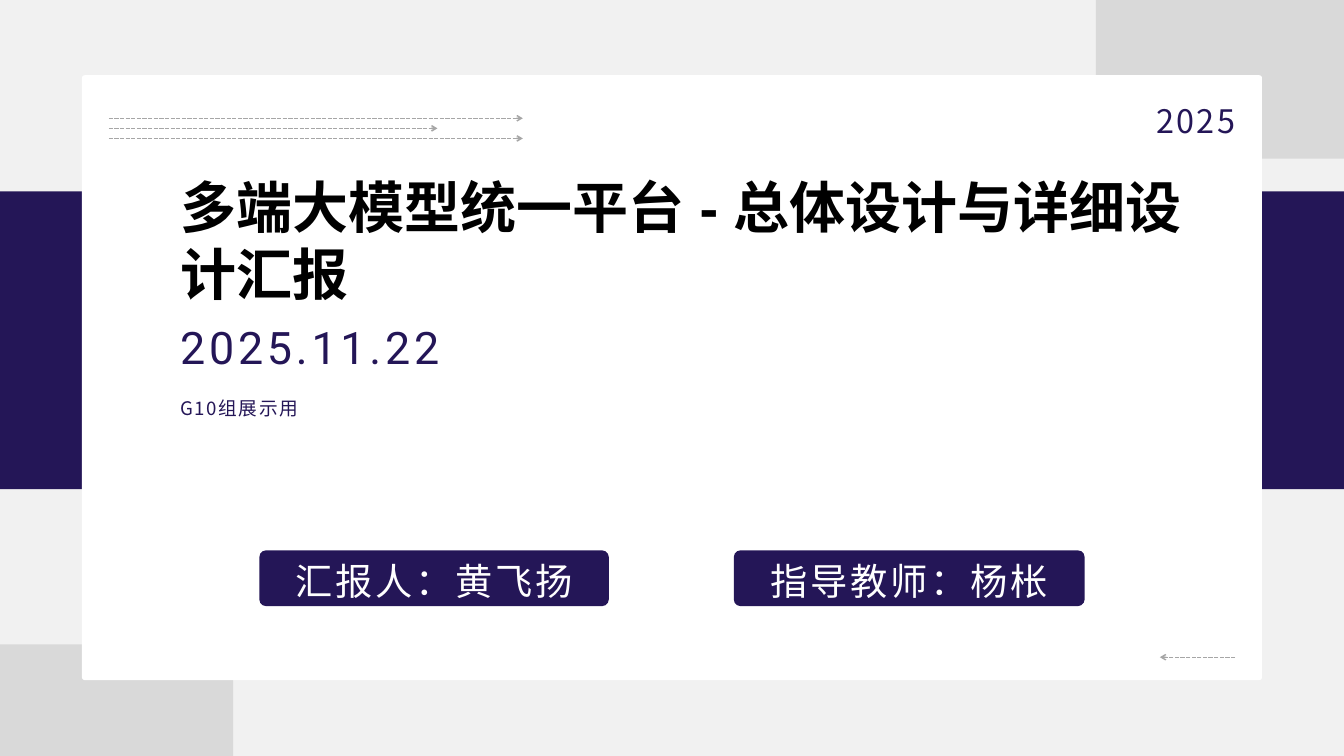
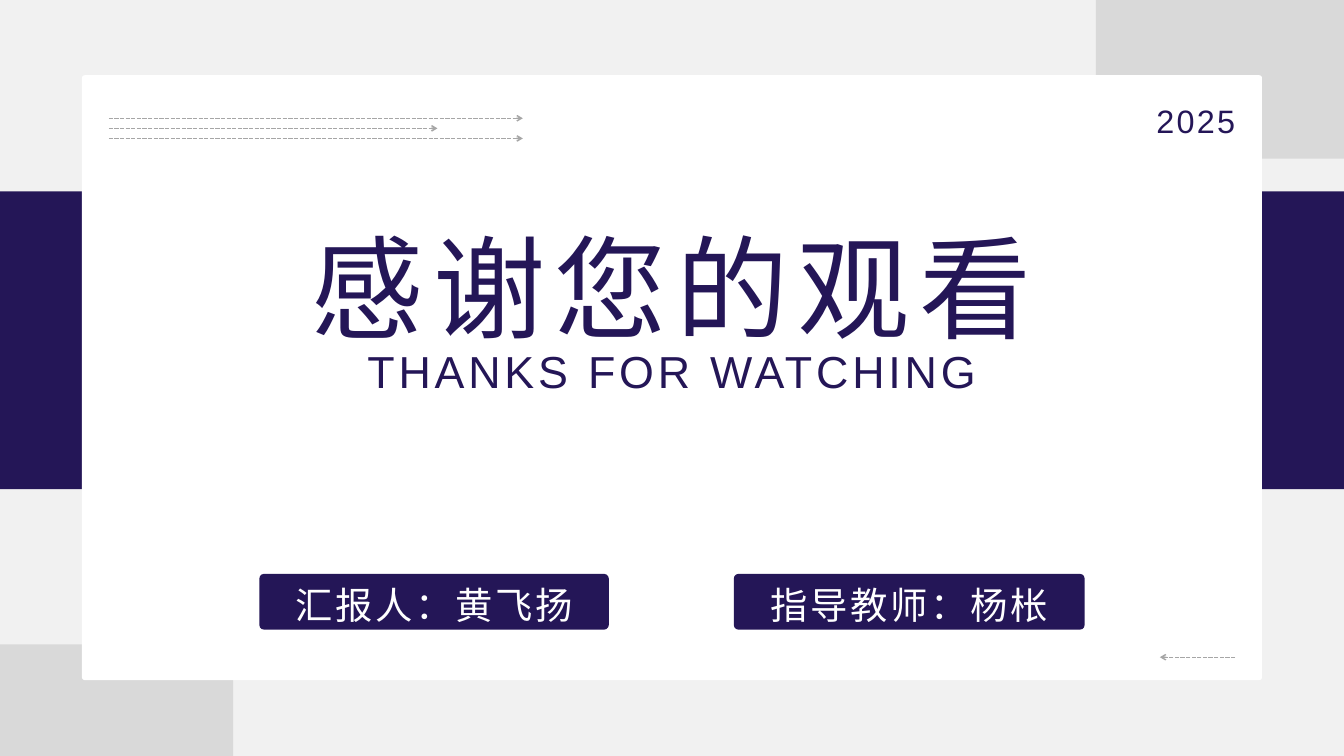
from lxml.etree import SubElement
from pptx import Presentation
from pptx.dml.color import RGBColor
from pptx.enum.dml import MSO_LINE
from pptx.enum.shapes import MSO_CONNECTOR, MSO_SHAPE
from pptx.enum.text import MSO_ANCHOR, MSO_AUTO_SIZE, PP_ALIGN
from pptx.oxml.ns import qn
from pptx.util import Emu, Pt

SCALE = 9144  # EMU per px, 100 px to the inch
WIDTH, HEIGHT = 2000, 1125

NAVY, WHITE, BLACK = "241657", "FFFFFF", "000000"
PAPER, BLOCK, ARROW = "F1F1F1", "D9D9D9", "A6A6A6"
SANS, ARIAL, ROBOTO = "Noto Sans CJK SC", "Arial", "Roboto"
LEFT, CENTER, RIGHT = PP_ALIGN.LEFT, PP_ALIGN.CENTER, PP_ALIGN.RIGHT

# Content: texts are lists of (words, font)
COVER = {
    "year_font": SANS,
    "title": ([("多端大模型统一平台 - 总体设计与详细设计汇报", ARIAL)], (268, 257, 1515, 202),
              dict(size=60, leading=72, color=BLACK, bold=True)),
    "subtitle": ([("2025.11.22", ROBOTO)], (268, 463, 1464, 82),
                 dict(size=48, leading=67.2, spacing=4.1)),
    "note": ([("G10组展示用", SANS)], (268, 585, 1464, 37),
             dict(size=20, leading=28, spacing=1.7)),
    "labels": [[("汇报人：黄飞扬", SANS)], [("指导教师：杨枨", SANS)]],
    "label_top": 819, "label_text_top": 819, "label_radius": 10, "label_size": 39.9,
}
CLOSING = {
    "year_font": ARIAL,
    "title": ([("感谢您的观看", ARIAL)], (268, 292, 1464, 225),
              dict(size=120.2, leading=168.3, spacing=10.2, align=CENTER)),
    "subtitle": ([("THANKS FOR WATCHING", ARIAL)], (268, 498, 1464, 86),
                 dict(size=48, leading=67.2, spacing=4.1, align=CENTER)),
    "note": None,
    "labels": [[("汇报人", SANS), ("：黄飞扬", ARIAL)], [("指导教师：杨枨", ARIAL)]],
    "label_top": 854, "label_text_top": 856, "label_radius": 7, "label_size": 40,
}

# Shared backdrop: box, colour, corner radius
BACKDROP = [
    ((0, 285, 245, 443), NAVY, 0),
    ((1755, 285, 245, 443), NAVY, 0),
    ((-22, 959, 369, 369), BLOCK, 20),
    ((1631, -133, 470, 369), BLOCK, 16),
    ((122, 112, 1756, 900), WHITE, 4),
]
ARROWS = [(162, 778, 206), (162, 651, 191), (162, 778, 176), (1838, 1726, 978)]
LABEL_SPANS = [(386, 520), (1092, 522)]
LABEL_HEIGHT, LABEL_INSET = 83, 23


def px(value):
    return Emu(value * SCALE)


def rgb(color):
    return RGBColor.from_string(color)


def add_panel(page, box, color, radius=0):
    kind = MSO_SHAPE.ROUNDED_RECTANGLE if radius else MSO_SHAPE.RECTANGLE
    panel = page.shapes.add_shape(kind, *map(px, box))
    if radius:
        panel.adjustments[0] = radius / min(box[2:])
    panel.shadow.inherit = False
    panel.fill.solid()
    panel.fill.fore_color.rgb = rgb(color)
    panel.line.fill.background()


def add_arrow(page, start, end, y):
    arrow = page.shapes.add_connector(MSO_CONNECTOR.STRAIGHT, px(start), px(y), px(end), px(y))
    arrow.line.color.rgb = rgb(ARROW)
    arrow.line.width = Pt(1.5)
    arrow.line.dash_style = MSO_LINE.SQUARE_DOT
    SubElement(arrow.line._get_or_add_ln(), qn("a:tailEnd"), type="arrow")
    SubElement(arrow._element.spPr, qn("a:effectLst"))


def write(shape, spans, size, leading, color=NAVY, spacing=0, align=LEFT, bold=False):
    frame = shape.text_frame
    frame.auto_size = MSO_AUTO_SIZE.NONE
    frame.word_wrap = True
    frame.vertical_anchor = MSO_ANCHOR.TOP
    frame.margin_left = frame.margin_top = frame.margin_right = frame.margin_bottom = 0
    para = frame.paragraphs[0]
    para.alignment = align
    para.line_spacing = Pt(leading)
    para.space_before = Pt(0)
    for words, font_name in spans:
        span = para.add_run()
        span.text = words
        span.font.size = Pt(size)
        span.font.bold = bold
        span.font.color.rgb = rgb(color)
        span.font.name = font_name
        properties = span.font._element
        properties.set("spc", str(round(spacing * 100)))
        SubElement(properties, qn("a:ea"), typeface=font_name)


def add_text(page, spans, box, style):
    write(page.shapes.add_textbox(*map(px, box)), spans, **style)


def fill_placeholder(page, holder, spans, box, style):
    holder.left, holder.top, holder.width, holder.height = map(px, box)
    write(holder, spans, **style)
    page.shapes._spTree.append(holder._element)  # bring in front of the card


def add_labels(page, content):
    style = dict(size=content["label_size"], leading=55.9, color=WHITE, spacing=2.8, align=CENTER)
    for (left, width), spans in zip(LABEL_SPANS, content["labels"]):
        add_panel(page, (left, content["label_top"], width, LABEL_HEIGHT), NAVY,
                  content["label_radius"])
        text_box = (left + LABEL_INSET, content["label_text_top"], width - 2 * LABEL_INSET, 74)
        add_text(page, spans, text_box, style)


def add_page(deck, content):
    page = deck.slides.add_slide(deck.slide_layouts[0])
    page.background.fill.solid()
    page.background.fill.fore_color.rgb = rgb(PAPER)

    # Backdrop and decoration
    for panel in BACKDROP:
        add_panel(page, *panel)
    add_text(page, [("2025", content["year_font"])], (1614, 141, 224, 65),
             dict(size=34.7, leading=48.5, spacing=2.4, align=RIGHT))
    for arrow in ARROWS:
        add_arrow(page, *arrow)

    # Names and headings
    add_labels(page, content)
    fill_placeholder(page, page.shapes.title, *content["title"])
    fill_placeholder(page, page.placeholders[1], *content["subtitle"])
    if content["note"]:
        add_text(page, *content["note"])


def main():
    deck = Presentation()
    deck.slide_width, deck.slide_height = px(WIDTH), px(HEIGHT)
    for content in (COVER, CLOSING):
        add_page(deck, content)
    deck.save("out.pptx")


if __name__ == "__main__":
    main()
